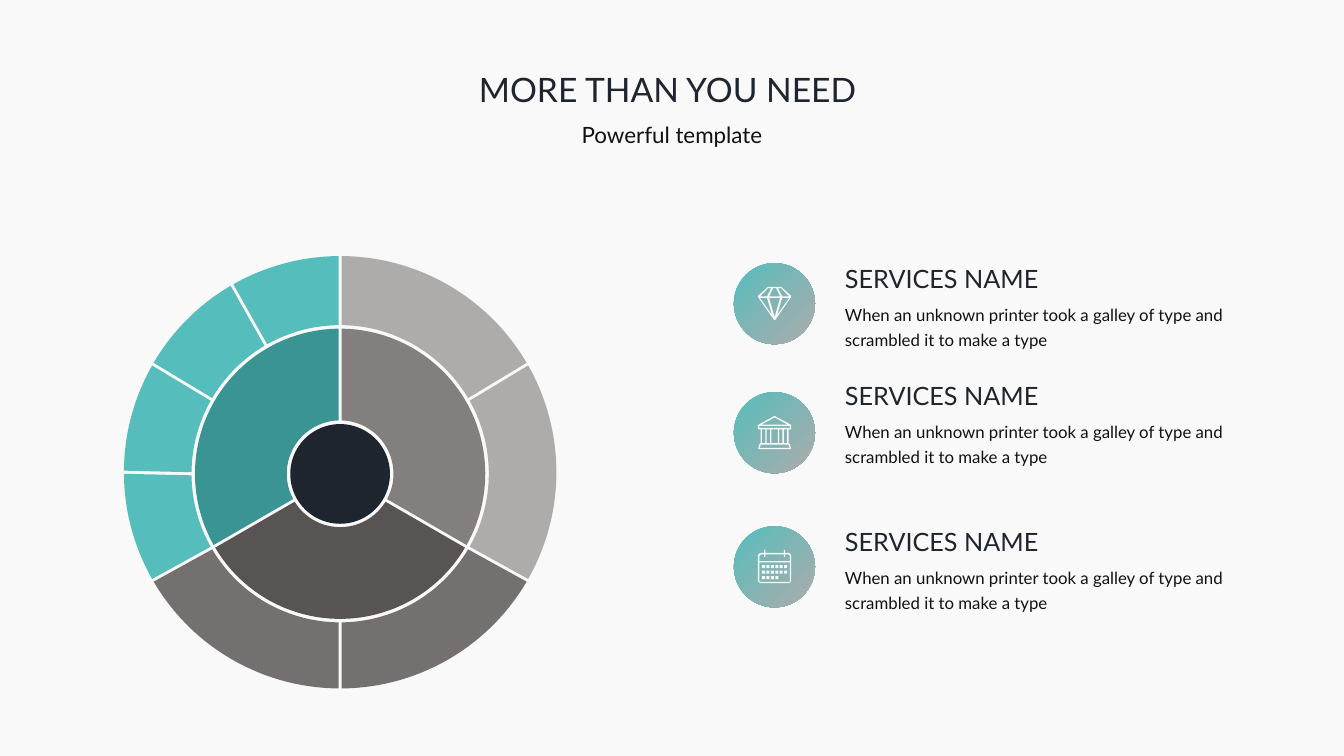
"""Build a slide with a two-ring wheel and three described services."""
import math

from pptx import Presentation
from pptx.dml.color import RGBColor
from pptx.enum.shapes import MSO_SHAPE
from pptx.enum.text import MSO_ANCHOR, MSO_AUTO_SIZE, PP_ALIGN
from pptx.util import Inches, Pt

OVAL = MSO_SHAPE.OVAL
TOP = MSO_ANCHOR.TOP
NO_FIT = MSO_AUTO_SIZE.NONE
LEFT, CENTER = PP_ALIGN.LEFT, PP_ALIGN.CENTER

WIDTH, HEIGHT = Inches(13.33), Inches(7.5)
COL, ROW = WIDTH / 100, HEIGHT / 100
FONT = "Lato"

PAPER = RGBColor(0xF9, 0xF9, 0xF9)
NAVY = RGBColor(0x1E, 0x25, 0x2E)
INK = RGBColor(0x11, 0x11, 0x11)
TEAL = RGBColor(0x56, 0xBD, 0xBD)
DARK_TEAL = RGBColor(0x3A, 0x94, 0x94)
SILVER = RGBColor(0xAE, 0xAB, 0xAB)
GRAY = RGBColor(0x84, 0x7F, 0x7F)
STONE = RGBColor(0x75, 0x70, 0x70)
CHARCOAL = RGBColor(0x58, 0x54, 0x54)

HUB_X, GAP = 25.31, 0.23
OUTER_RING = (62.47, 16.09, 62.67, 11.06)
INNER_RING = (62.67, 10.8, 62.67, 3.97)
OUTER_SEGMENTS = [(0, 60, SILVER), (60, 120, SILVER), (120, 180, STONE), (180, 240, STONE),
                  (240, 270, TEAL), (270, 300, TEAL), (300, 330, TEAL), (330, 360, TEAL)]
INNER_SEGMENTS = [(0, 120, GRAY), (120, 240, CHARCOAL), (240, 360, DARK_TEAL)]

ICON_UNIT = 0.075
HEADING = "SERVICES NAME"
DETAIL = "When an unknown printer took a galley of type and scrambled it to make a type"


def box(x1, y1, x2, y2):
    """Return the corners of a rectangle."""
    return [(x1, y1), (x2, y1), (x2, y2), (x1, y2)]


DIAMOND = [
    [(10, 0), (23, 0), (33, 9), (33, 10), (17, 33), (16, 33), (0, 10), (0, 9)],
    [(19, 28), (24, 11), (31, 11)],
    [(16.5, 30), (11, 11), (22, 11)],
    [(2, 11), (9, 11), (14, 28)],
    [(10, 1.3), (13, 1.3), (9, 9.6), (2, 9.6)],
    [(18, 1.3), (22, 9.6), (11, 9.6), (15, 1.3)],
    [(23, 1.3), (31, 9.6), (24, 9.6), (20, 1.3)],
]
BANK = [
    [(16.5, 0), (33, 9), (33, 13.3), (30.3, 13.3), (30.3, 27), (31.5, 28), (33, 33),
     (0, 33), (1.5, 28), (2.7, 27), (2.7, 13.3), (0, 13.3), (0, 9)],
    [(16.5, 1.5), (29.5, 8.7), (3.5, 8.7)],
    box(1.3, 10, 31.7, 12),
    *[box(x1, 13.3, x2, 27) for x1, x2 in [(4, 7.4), (8.7, 12), (13.3, 19.7), (21, 24.3), (25.6, 29)]],
    [(2.8, 28.5), (30.2, 28.5), (31.4, 31.7), (1.6, 31.7)],
]
CALENDAR = [
    [(2, 3), (6, 3), (6, 0), (7.3, 0), (7.3, 3), (25.7, 3), (25.7, 0), (27, 0), (27, 3),
     (31, 3), (33, 5), (33, 31), (31, 33), (2, 33), (0, 31), (0, 5)],
    [(1.3, 11), (1.3, 6), (3, 4.3), (6, 4.3), (6, 7), (7.3, 7), (7.3, 4.3), (25.7, 4.3),
     (25.7, 7), (27, 7), (27, 4.3), (30, 4.3), (31.7, 6), (31.7, 11)],
    box(1.3, 12.3, 31.7, 31.7),
    *[box(4 + 4.4 * day, 15 + 5.5 * week, 7 + 4.4 * day, 18 + 5.5 * week)
      for week, days in enumerate((6, 6, 4)) for day in range(days)],
]
SERVICES = [(34.8, 34.8, DIAMOND), (51.87, 50.27, BANK), (69.6, 69.6, CALENDAR)]


def paint(sp, color):
    """Fill a shape flat, without line or shadow."""
    sp.shadow.inherit = False
    sp.line.fill.background()
    sp.fill.solid()
    sp.fill.fore_color.rgb = color


def add_outline(shapes, contours, color):
    """Add one filled freeform from contours given in EMU."""
    builder = None
    for contour in contours:
        points = [(round(x), round(y)) for x, y in contour]
        if builder is None:
            builder = shapes.build_freeform(*points[0], scale=1.0)
        else:
            builder.move_to(*points[0])
        builder.add_line_segments(points[1:], close=True)
    paint(builder.convert_to_shape(), color)


def arc(center_row, radius, start, end):
    """Return arc points, drawn in from both ends by half the gap."""
    inset = math.degrees(math.asin(GAP / 2 / radius))
    first, last = start + inset, end - inset
    steps = round((end - start) / 2)
    angles = [math.radians(first + (last - first) * i / steps) for i in range(steps + 1)]
    return [(COL * (HUB_X + radius * math.sin(a)), ROW * center_row - COL * radius * math.cos(a))
            for a in angles]


def add_ring(shapes, ring, segments):
    """Add the segments of one ring of the wheel."""
    outer_row, outer_radius, inner_row, inner_radius = ring
    for start, end, color in segments:
        outline = arc(outer_row, outer_radius, start, end)
        outline += arc(inner_row, inner_radius, start, end)[::-1]
        add_outline(shapes, [outline], color)


def add_circle(shapes, col, row, diameter):
    """Add a navy circle of a diameter in columns."""
    size = round(diameter * COL)
    sp = shapes.add_shape(OVAL, round(col * COL), round(row * ROW), size, size)
    paint(sp, NAVY)
    return sp


def add_wheel(s):
    """Add the grouped wheel."""
    shapes = s.shapes.add_group_shape().shapes
    add_circle(shapes, 21.6, 56.1, 7.42)
    add_ring(shapes, OUTER_RING, OUTER_SEGMENTS)
    add_ring(shapes, INNER_RING, INNER_SEGMENTS)


def add_badge(s, row, icon):
    """Add a gradient circle with its icon."""
    fill = add_circle(s.shapes, 54.6, row, 6.04).fill
    fill.gradient()
    fill.gradient_angle = 315
    for stop, color in zip(fill.gradient_stops, (TEAL, SILVER)):
        stop.color.rgb = color
    add_outline(s.shapes, [[(COL * (56.4 + ICON_UNIT * x), ROW * (row + 3.15) + COL * ICON_UNIT * y)
                            for x, y in contour] for contour in icon], PAPER)


def write(sp, area, text, size, color, align=LEFT, spacing=1.0):
    """Place a text shape on the grid and format its text."""
    col, row, cols, rows = area
    sp.left, sp.top = round(col * COL), round(row * ROW)
    sp.width, sp.height = round(cols * COL), round(rows * ROW)
    tf = sp.text_frame
    tf.margin_left = tf.margin_right = tf.margin_top = tf.margin_bottom = 0
    tf.word_wrap = True
    tf.auto_size = NO_FIT
    tf.vertical_anchor = TOP
    tf.text = text
    p = tf.paragraphs[0]
    p.alignment = align
    p.line_spacing = spacing
    p.space_before = Pt(0)
    font = p.runs[0].font
    font.name, font.size, font.color.rgb = FONT, Pt(size), color


def add_service(s, badge_row, text_row, icon):
    """Add a badge with its heading and detail."""
    add_badge(s, badge_row, icon)
    write(s.shapes.add_textbox(0, 0, 0, 0), (62.87, text_row, 31.5, 4), HEADING, 18, NAVY)
    write(s.shapes.add_textbox(0, 0, 0, 0), (62.87, text_row + 4.85, 31.5, 7.33),
          DETAIL, 12, INK, spacing=1.25)


def main():
    """Build and save the slide."""
    prs = Presentation()
    prs.slide_width, prs.slide_height = WIDTH, HEIGHT
    s = prs.slides.add_slide(prs.slide_layouts[0])
    s.background.fill.solid()
    s.background.fill.fore_color.rgb = PAPER
    write(s.shapes.title, (35.63, 9.07, 28.8, 5.33), "MORE THAN YOU NEED", 24, NAVY)
    write(s.placeholders[1], (43, 16, 14, 3.6), "Powerful template", 16, INK, CENTER)
    add_wheel(s)
    for badge_row, text_row, icon in SERVICES:
        add_service(s, badge_row, text_row, icon)
    prs.save("out.pptx")


if __name__ == "__main__":
    main()
